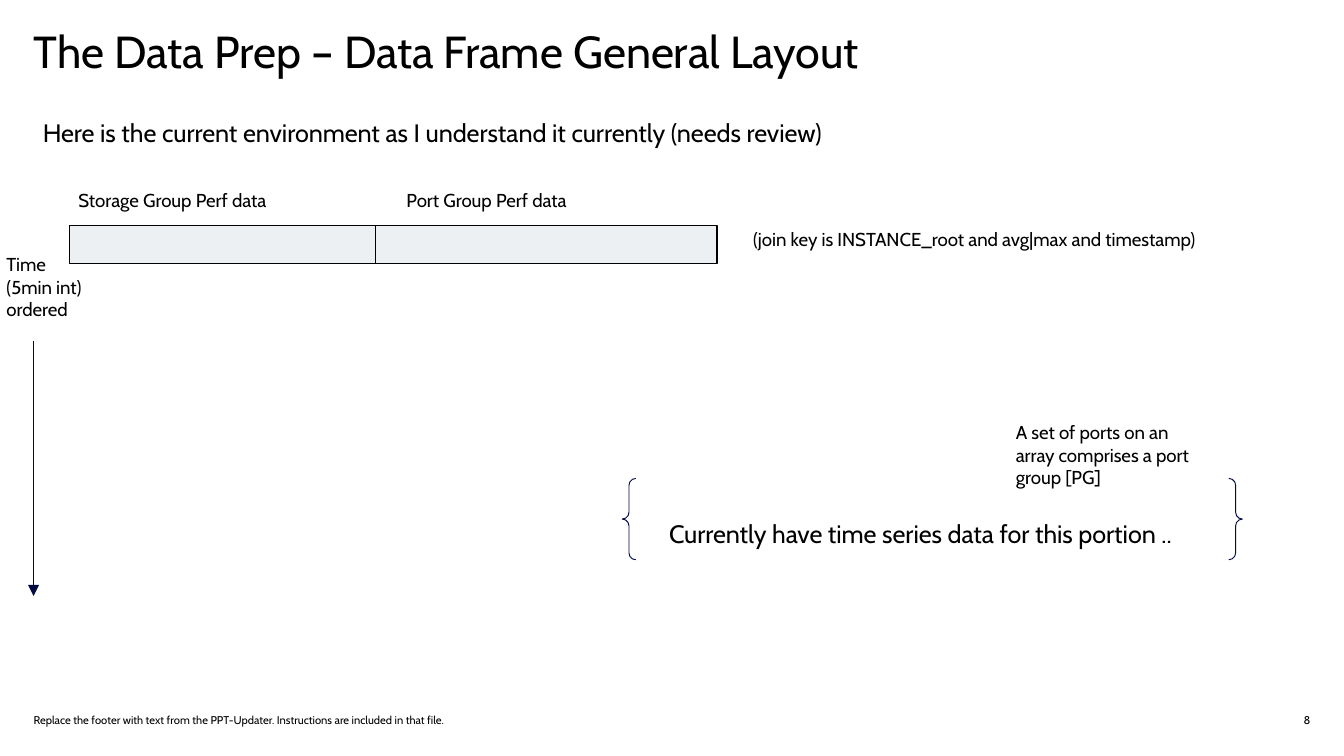
import pptx
import pptx.util
import pptx.dml.color
import pptx.enum.shapes
import pptx.enum.text
import pptx.oxml.ns
from lxml import etree

PX = 4572  # EMU per px, 200 px to the inch
FONT = "Cabin"
BLACK = pptx.dml.color.RGBColor(0x00, 0x00, 0x00)
NAVY = pptx.dml.color.RGBColor(0x00, 0x0B, 0x44)
PALE_GREY = pptx.dml.color.RGBColor(0xED, 0xF0, 0xF2)
SHAPE = pptx.enum.shapes.MSO_SHAPE
ALIGN = pptx.enum.text.PP_ALIGN
ANCHOR = pptx.enum.text.MSO_ANCHOR


def emu(*lengths):
    return [length * PX for length in lengths]


def add_text(slide, box, text, size=10, align=ALIGN.LEFT, anchor=ANCHOR.TOP,
             inset=True, wrap=True, spacing=None):
    frame = slide.shapes.add_textbox(*emu(*box)).text_frame
    frame.word_wrap = wrap
    frame.vertical_anchor = anchor
    if not inset:
        frame.margin_left = frame.margin_right = 0
        frame.margin_top = frame.margin_bottom = 0
    frame.text = text
    for paragraph in frame.paragraphs:
        paragraph.alignment = align
        if spacing:
            paragraph.line_spacing = spacing
        font = paragraph.runs[0].font
        font.name = FONT
        font.size = pptx.util.Pt(size)
        font.color.rgb = BLACK


def add_outlined(slide, kind, box, line, width, fill=None):
    outlined = slide.shapes.add_shape(kind, *emu(*box))
    outlined.shadow.inherit = False
    if fill is None:
        outlined.fill.background()
    else:
        outlined.fill.solid()
        outlined.fill.fore_color.rgb = fill
    outlined.line.color.rgb = line
    outlined.line.width = pptx.util.Pt(width)


def add_heading(slide, left, top):
    add_text(slide, (left, top, 1744, 188), "The Data Prep – Data Frame General Layout",
             size=24, inset=False, spacing=0.9)
    add_text(slide, (left - 6, top + 121, 1866, 66),
             "Here is the current environment as I understand it currently (needs review)",
             size=13.5)


def add_data_frame(slide, left, top):
    """Two adjoining column groups with labels above and the join key beside."""
    column_left = left
    for label, width, label_dx, label_dy in (
        ("Storage Group Perf data", 456, -6, -64),
        ("Port Group Perf data", 508, 26, -65),
    ):
        add_outlined(slide, SHAPE.RECTANGLE, (column_left, top, width, 56),
                     BLACK, 0.75, PALE_GREY)
        add_text(slide, (column_left + label_dx, top + label_dy, 396, 54), label)
        column_left += width
    add_text(slide, (column_left + 34, top - 6, 850, 54),
             "(join key is INSTANCE_root and avg|max and timestamp)")


def add_time_axis(slide, left, top):
    add_text(slide, (left, top, 192, 122), "Time\n(5min int)\nordered")
    axis_x = left + 60
    arrow = slide.shapes.add_connector(
        pptx.enum.shapes.MSO_CONNECTOR.STRAIGHT,
        *emu(axis_x, top + 141, axis_x, top + 520))
    arrow.line.color.rgb = NAVY
    arrow.line.width = pptx.util.Pt(0.5)
    qn = pptx.oxml.ns.qn
    line = arrow._element.spPr.find(qn("a:ln"))
    etree.SubElement(line, qn("a:tailEnd"), type="triangle")
    etree.SubElement(arrow._element.spPr, qn("a:effectLst"))


def add_port_group_note(slide, left, top):
    """Braced remark with the port group definition above its right end."""
    add_text(slide, (left + 566, top - 95, 302, 122),
             "A set of ports on an array comprises a port group [PG]")
    add_text(slide, (left + 50, top + 49, 856, 66),
             "Currently have time series data for this portion ..", size=13.5, wrap=False)
    add_outlined(slide, SHAPE.DOUBLE_BRACE, (left, top, 923, 121), NAVY, 0.5)


def add_footer(slide, left, top, width):
    number_width = 450
    small = dict(size=6, anchor=ANCHOR.MIDDLE, inset=False)
    add_text(slide, (left, top, 1400, 30),
             "Replace the footer with text from the PPT-Updater. "
             "Instructions are included in that file.", **small)
    add_text(slide, (left + width - number_width, top, number_width, 30), "8",
             align=ALIGN.RIGHT, **small)


def main():
    deck = pptx.Presentation()
    deck.slide_width, deck.slide_height = emu(2000, 1125)
    slide = deck.slides.add_slide(deck.slide_layouts[6])
    add_heading(slide, 50, 44)
    add_data_frame(slide, 103, 336)
    add_time_axis(slide, -10, 367)
    add_port_group_note(slide, 926, 712)
    add_footer(slide, 50, 1056, 1900)
    deck.save("out.pptx")


if __name__ == "__main__":
    main()
